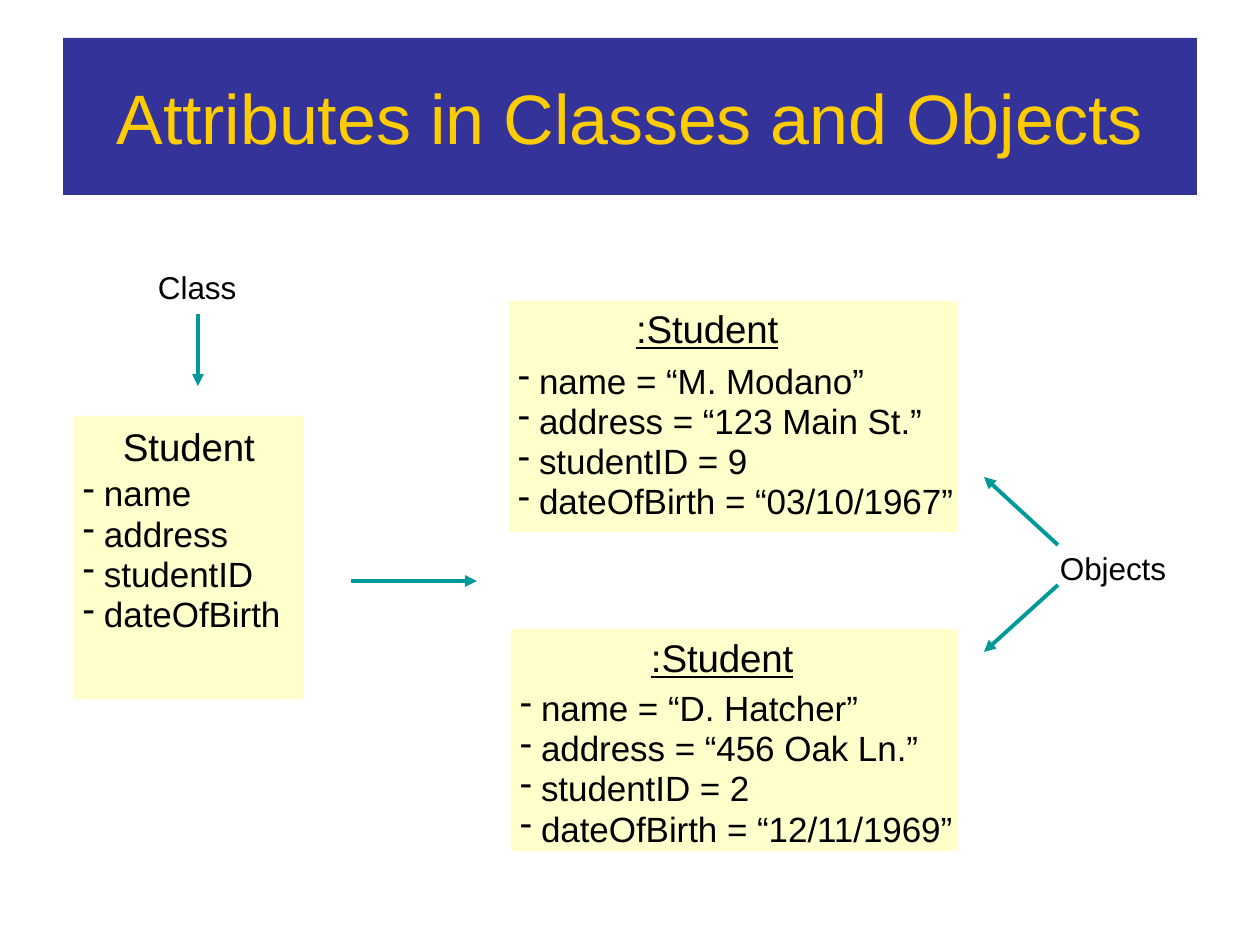
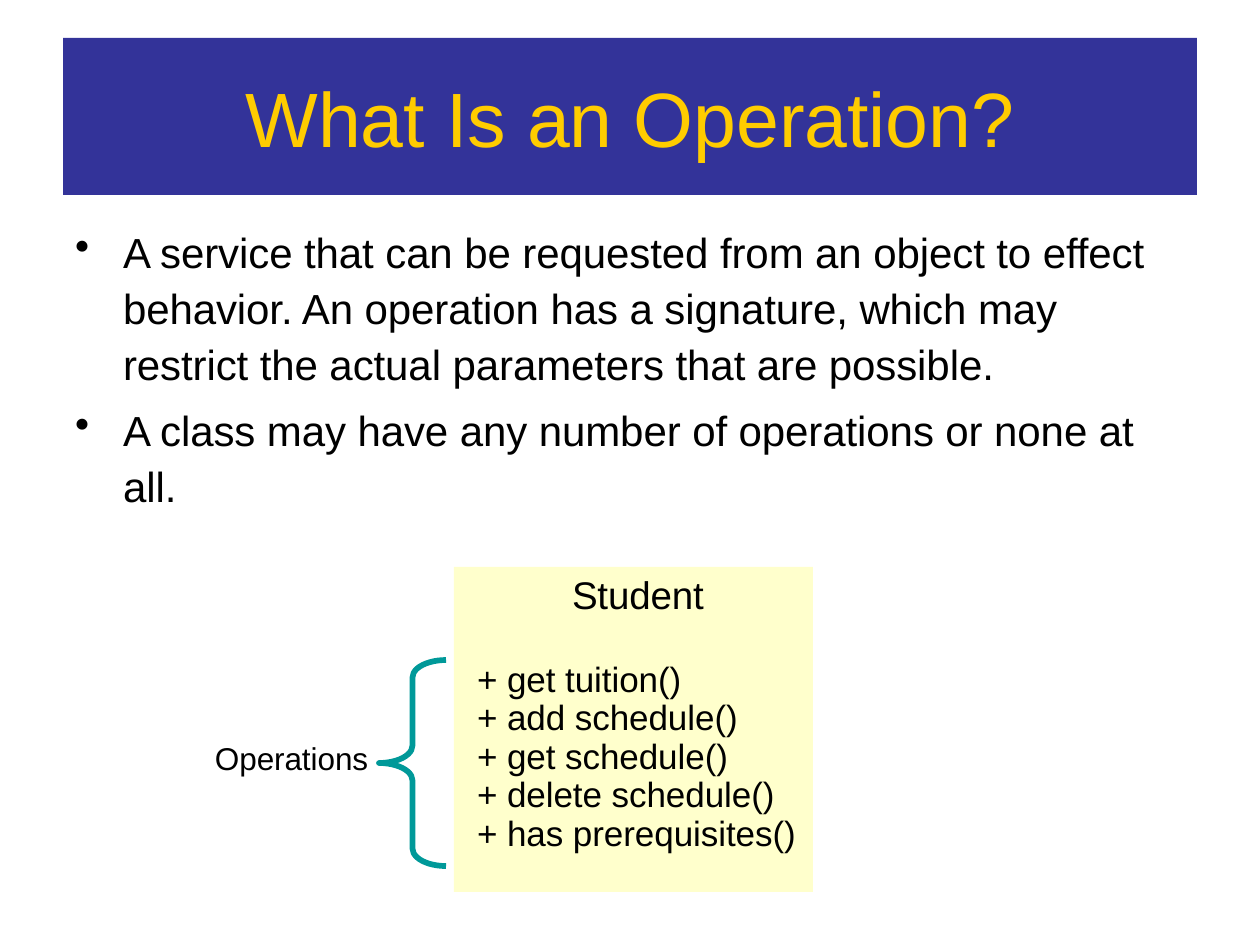
from lxml import etree
from pptx import Presentation
from pptx import util as u
from pptx.dml.color import RGBColor
from pptx.enum import shapes, text
from pptx.oxml import ns

# Shared look
PIXEL = 914400 / 126
FONT = "Arial"
BAND, GOLD, CREAM, TEAL, BLACK = "333399", "FFCC00", "FFFFCC", "009999", "000000"
TITLE_BOX = (63, 38, 1134, 157)


def px(length):
    return u.Emu(round(length * PIXEL))


def colour(value):
    return RGBColor.from_string(value)


def fill_with(shape, value):
    shape.fill.solid()
    shape.fill.fore_color.rgb = colour(value)


def prepare_frame(shape, top=0, anchor=text.MSO_ANCHOR.TOP):
    frame = shape.text_frame
    frame.margin_left = frame.margin_right = frame.margin_bottom = 0
    frame.margin_top = px(top)
    frame.word_wrap = True
    frame.auto_size = text.MSO_AUTO_SIZE.NONE
    frame.vertical_anchor = anchor
    return frame


def format_para(para, size, value=BLACK, align=text.PP_ALIGN.LEFT, underline=False):
    para.alignment = align
    for span in para.runs:
        span.font.name = FONT
        span.font.size = u.Pt(size)
        span.font.color.rgb = colour(value)
        span.font.underline = underline
        # Slightly tightened letters
        span.font._element.set("spc", "-5")


def indent(para, left, hanging=0, bullet=None):
    props = para._p.get_or_add_pPr()
    props.set("marL", str(px(left)))
    props.set("indent", str(-px(hanging)))
    if bullet:
        etree.SubElement(props, ns.qn("a:buChar")).set("char", bullet)


def add_title(page, wording, size):
    title = page.shapes.title
    title.left, title.top, title.width, title.height = map(px, TITLE_BOX)
    fill_with(title, BAND)
    frame = prepare_frame(title, anchor=text.MSO_ANCHOR.MIDDLE)
    frame.text = wording
    format_para(frame.paragraphs[0], size, GOLD, text.PP_ALIGN.CENTER)


def add_label(page, box, wording):
    label = page.shapes.add_textbox(*map(px, box))
    frame = prepare_frame(label, top=1)
    frame.text = wording
    indent(frame.paragraphs[0], 2)
    format_para(frame.paragraphs[0], 18)


def add_arrow(page, start, end):
    arrow = page.shapes.add_connector(
        shapes.MSO_CONNECTOR.STRAIGHT, *map(px, start + end))
    arrow.line.color.rgb = colour(TEAL)
    arrow.line.width = u.Pt(2.25)
    etree.SubElement(arrow.line._get_or_add_ln(), ns.qn("a:tailEnd")).set("type", "triangle")
    etree.SubElement(arrow._element.spPr, ns.qn("a:effectLst"))


def add_class_box(page, box, heading, heading_left, members, top, gap,
                  pitch=23, left=30, bullet="-", underline=False):
    """A UML box: a heading, then one line for each member."""
    card = page.shapes.add_shape(shapes.MSO_SHAPE.RECTANGLE, *map(px, box))
    card.shadow.inherit = False
    fill_with(card, CREAM)
    card.line.fill.background()
    frame = prepare_frame(card, top)
    frame.text = "\n".join([heading, *members])
    head, *rows = frame.paragraphs
    indent(head, heading_left)
    format_para(head, 22, underline=underline)
    for row in rows:
        row.line_spacing = u.Pt(pitch)
        indent(row, left, 21 if bullet else 0, bullet)
        format_para(row, 20)
    rows[0].space_before = u.Pt(gap)


def add_points(page, box, points):
    body = page.shapes.add_textbox(*map(px, box))
    frame = prepare_frame(body, top=1)
    frame.text = "\n".join(points)
    for number, para in enumerate(frame.paragraphs):
        para.line_spacing = 1.11
        para.space_before = u.Pt(6 if number else 1)
        indent(para, 49, 48, "•")
        format_para(para, 24)


def add_brace(page, box):
    brace = page.shapes.add_shape(shapes.MSO_SHAPE.LEFT_BRACE, *map(px, box))
    brace.shadow.inherit = False
    brace.adjustments[0] = 0.26
    brace.fill.background()
    brace.line.color.rgb = colour(TEAL)
    brace.line.width = u.Pt(3.25)


def build_attributes(page):
    add_title(page, "Attributes in Classes and Objects", 40)

    # Class
    add_label(page, (156, 267, 84, 42), "Class")
    add_arrow(page, (198, 314), (198, 386))
    add_class_box(page, (74, 416, 229, 283), "Student", 49,
                  ["name", "address", "studentID", "dateOfBirth"], top=7, gap=2.6)
    add_arrow(page, (351, 581), (477, 581))

    # Objects made from it
    students = [
        ((509, 301, 449, 231), 127, 4, 5.6, "M. Modano", "123 Main St.", 9, "03/10/1967"),
        ((511, 629, 447, 222), 140, 5, 4.6, "D. Hatcher", "456 Oak Ln.", 2, "12/11/1969"),
    ]
    for box, heading_left, top, gap, name, address, number, birth in students:
        members = [f"name = “{name}”", f"address = “{address}”",
                   f"studentID = {number}", f"dateOfBirth = “{birth}”"]
        add_class_box(page, box, ":Student", heading_left, members, top, gap,
                      underline=True)
    add_label(page, (1058, 548, 115, 42), "Objects")
    add_arrow(page, (1058, 545), (984, 477))
    add_arrow(page, (1058, 585), (984, 652))


def build_operation(page):
    add_title(page, "What Is an Operation?", 44)
    add_points(page, (74, 220, 1080, 294), [
        "A service that can be requested from an object to effect behavior. "
        "An operation has a signature, which may restrict the actual "
        "parameters that are possible.",
        "A class may have any number of operations or none at all."])

    # Class with its operations
    operations = ["get tuition()", "add schedule()", "get schedule()",
                  "delete schedule()", "has prerequisites()"]
    add_class_box(page, (454, 567, 359, 325), "Student", 118,
                  [f"+ {operation}" for operation in operations],
                  top=4, gap=25, pitch=22, left=23, bullet=None)
    add_brace(page, (379, 660, 67, 206))
    add_label(page, (213, 738, 160, 42), "Operations")


deck = Presentation()
deck.slide_width, deck.slide_height = px(1260), px(945)
for build in (build_attributes, build_operation):
    build(deck.slides.add_slide(deck.slide_layouts[5]))
deck.save("out.pptx")
